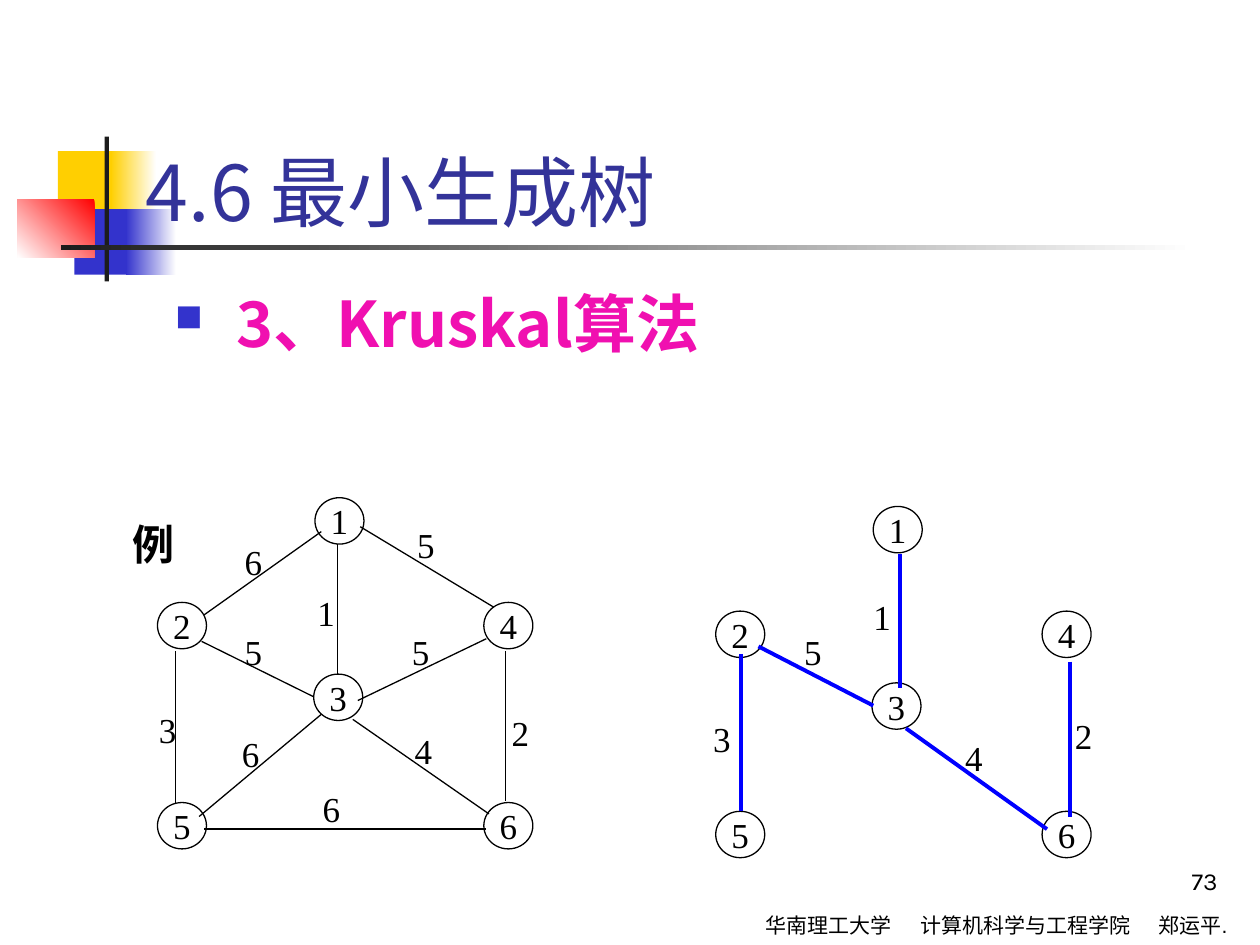
"""Build the Kruskal minimum spanning tree slide."""
from lxml import etree
from pptx import Presentation
from pptx.dml.color import RGBColor
from pptx.enum.shapes import MSO_CONNECTOR, MSO_SHAPE
from pptx.enum.text import MSO_ANCHOR, PP_ALIGN
from pptx.oxml.ns import qn
from pptx.util import Pt

RECTANGLE, OVAL = MSO_SHAPE.RECTANGLE, MSO_SHAPE.OVAL
STRAIGHT = MSO_CONNECTOR.STRAIGHT
TOP, MIDDLE, BOTTOM = MSO_ANCHOR.TOP, MSO_ANCHOR.MIDDLE, MSO_ANCHOR.BOTTOM
LEFT, CENTER, RIGHT = PP_ALIGN.LEFT, PP_ALIGN.CENTER, PP_ALIGN.RIGHT

BLACK = RGBColor(0x00, 0x00, 0x00)
WHITE = RGBColor(0xFF, 0xFF, 0xFF)
CHARCOAL = RGBColor(0x1C, 0x1C, 0x1C)
YELLOW = RGBColor(0xFF, 0xCF, 0x01)
RED = RGBColor(0xFF, 0x00, 0x00)
INDIGO = RGBColor(0x33, 0x33, 0xCC)
NAVY = RGBColor(0x33, 0x33, 0x99)
PINK = RGBColor(0xF0, 0x10, 0xB0)
BLUE = RGBColor(0x00, 0x00, 0xFF)

CJK, SERIF = "Noto Sans CJK SC", "Times New Roman"


def write(shape, text, name, size, color=BLACK, bold=False,
          align=CENTER, anchor=MIDDLE, wrap=False):
    frame = shape.text_frame
    paragraph = frame.paragraphs[0]
    run = paragraph.add_run()
    run.text = text
    formats = {
        frame: {"word_wrap": wrap, "vertical_anchor": anchor},
        paragraph: {"alignment": align},
        run.font: {"name": name, "size": Pt(size), "bold": bold},
    }
    for target, values in formats.items():
        for attribute, value in values.items():
            setattr(target, attribute, value)
    run.font.color.rgb = color
    east_asian = etree.SubElement(run._r.get_or_add_rPr(), qn("a:ea"))
    east_asian.set("typeface", CJK)
    return paragraph


def text_box(box, text, name, size, **formats):
    shape = slide.shapes.add_textbox(*map(Pt, box))
    return write(shape, text, name, size, **formats)


prs = Presentation()
prs.slide_width, prs.slide_height = Pt(720), Pt(540)
slide = prs.slides.add_slide(prs.slide_layouts[6])

ornaments = [
    ((33.1, 86.4, 34.6, 37.4), [YELLOW], 0),
    ((63.4, 86.4, 25.9, 37.4), [WHITE, YELLOW], 180),
    ((42.5, 119.5, 33.1, 37.4), [INDIGO], 0),
    ((72, 119.5, 28.8, 37.4), [WHITE, INDIGO], 180),
    ((10, 113.8, 44, 33.4), [RED, WHITE], 225),
    ((59.8, 78, 2.5, 82.8), [CHARCOAL], 0),
    ((34.8, 140.2, 648, 2.5), [WHITE, CHARCOAL], 180),
]
for box, colors, angle in ornaments:
    ornament = slide.shapes.add_shape(RECTANGLE, *map(Pt, box))
    ornament.shadow.inherit = False
    ornament.line.fill.background()
    if len(colors) == 1:
        ornament.fill.solid()
        ornament.fill.fore_color.rgb = colors[0]
    else:
        ornament.fill.gradient()
        ornament.fill.gradient_angle = angle
        for stop, color in zip(ornament.fill.gradient_stops, colors):
            stop.color.rgb = color

footer = text_box((430.5, 517.7, 289.5, 21.6),
                  "华南理工大学\t计算机科学与工程学院\t郑运平.", "Arial", 12,
                  align=LEFT, anchor=TOP, wrap=True)
tab_list = etree.SubElement(footer._p.get_or_add_pPr(), qn("a:tabLst"))
for position in (88.5, 224.5):
    etree.SubElement(tab_list, qn("a:tab"), pos=str(Pt(position)), algn="l")

text_box((68.4, 293, 38.2, 36), "例", SERIF, 24, bold=True)

nodes = {
    "1": (180, 284.4), "2": (90, 344.2), "3": (179.3, 385.2),
    "4": (276.5, 344.2), "5": (90, 458.6), "6": (276.5, 458.6),
}
graph_edges = [
    ((193, 311, 193, 385.9), "1", (174.2, 334.1)),
    ((183.6, 303.8, 116.6, 351.4), "6", (132.5, 305.3)),
    ((100.1, 372.2, 100.1, 459.4), "3", (83.5, 401)),
    ((288.7, 372.2, 288.7, 457.9), "2", (285.1, 402.5)),
    ((116.6, 473.8, 277.9, 473.8), "6", (177.1, 446.4)),
    ((205.9, 301, 282.2, 347), "5", (231.1, 295.2)),
    ((115.2, 366.5, 179.3, 398.2), "5", (132.5, 356.4)),
    ((277.9, 365, 204.5, 400.3), "5", (228.2, 356.4)),
    ((183.6, 408.2, 113.8, 466.6), "6", (131, 414.7)),
    ((201.6, 411.1, 279.4, 465.1), "4", (229.7, 413.3)),
]
tree_edges = [
    ((514.1, 316.8, 514.1, 393.1), "1", (491.8, 336.2)),
    ((611.3, 378, 611.3, 466.6), "2", (607, 404.6)),
    ((423.4, 373.7, 423.4, 463.7), "3", (400.3, 406.1)),
    ((517.7, 416.2, 598.3, 473.8), "4", (544.3, 416.9)),
    ((433.4, 369.4, 499, 403.2), "5", (452.2, 356.4)),
]
diagrams = [
    (0, 0, graph_edges, BLACK, 0.75),
    (319, 5, tree_edges, BLUE, 2.25),
]
for shift_x, shift_y, edges, color, width in diagrams:
    for number, (x, y) in nodes.items():
        node = slide.shapes.add_shape(
            OVAL, Pt(x + shift_x), Pt(y + shift_y), Pt(28), Pt(26.5))
        node.shadow.inherit = False
        node.fill.background()
        node.line.color.rgb = BLACK
        node.line.width = Pt(0.75)
        write(node, number, SERIF, 20)
    for ends, weight, corner in edges:
        edge = slide.shapes.add_connector(STRAIGHT, *map(Pt, ends))
        edge.line.color.rgb = color
        edge.line.width = Pt(width)
        etree.SubElement(edge._element.spPr, qn("a:effectLst"))
        text_box((*corner, 24.5, 31.7), weight, SERIF, 20)

heading = text_box((92.9, 159.1, 612, 324), " 3、Kruskal算法", CJK, 36,
                   color=PINK, bold=True, align=LEFT, anchor=TOP, wrap=True)
properties = heading._p.get_or_add_pPr()
properties.set("marL", str(Pt(27)))
properties.set("indent", str(Pt(-27)))
bullet_color = etree.SubElement(properties, qn("a:buClr"))
etree.SubElement(bullet_color, qn("a:srgbClr"), val=str(INDIGO))
etree.SubElement(properties, qn("a:buSzPct"), val="60000")
etree.SubElement(properties, qn("a:buChar"), char="■")

text_box((76.3, 49, 612, 90), "4.6 最小生成树", CJK, 44,
         color=NAVY, align=LEFT, anchor=BOTTOM, wrap=True)
text_box((553, 479.5, 149.8, 36), "73", "Karla", 14,
         align=RIGHT, anchor=BOTTOM, wrap=True)

prs.save("out.pptx")
